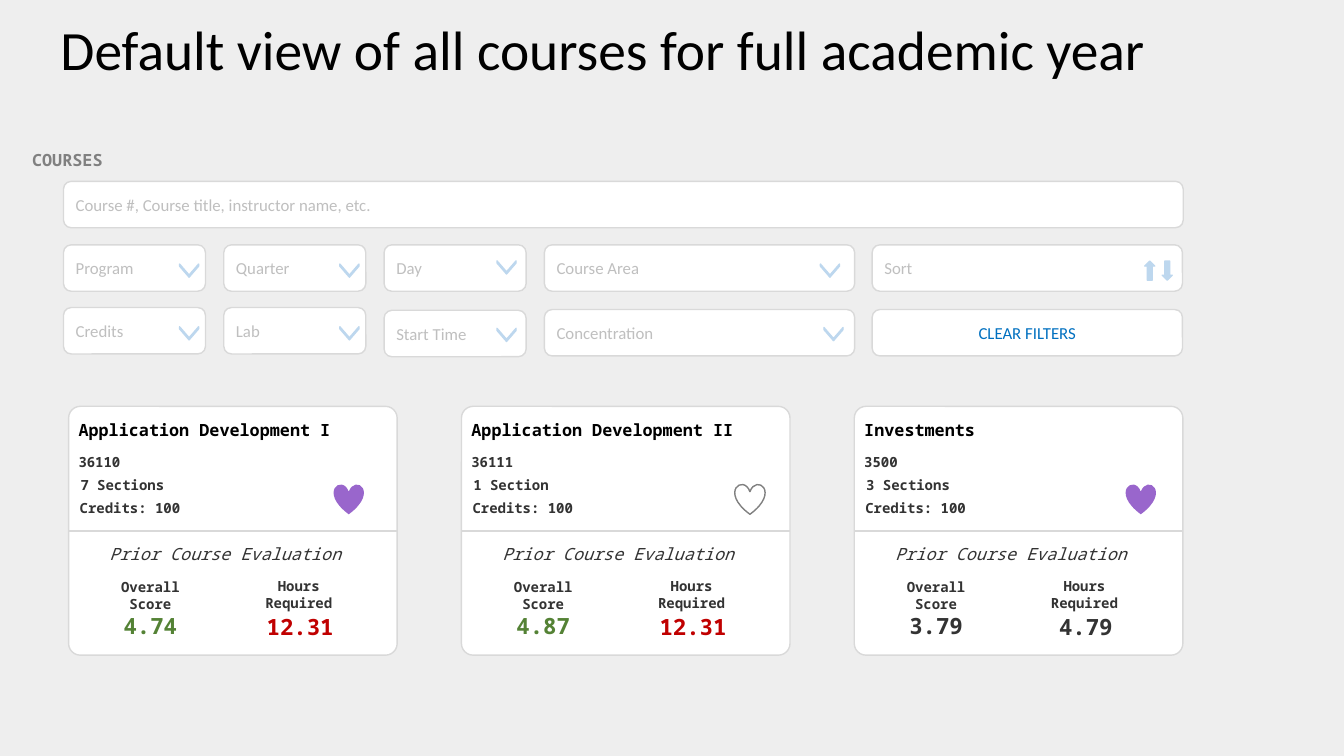
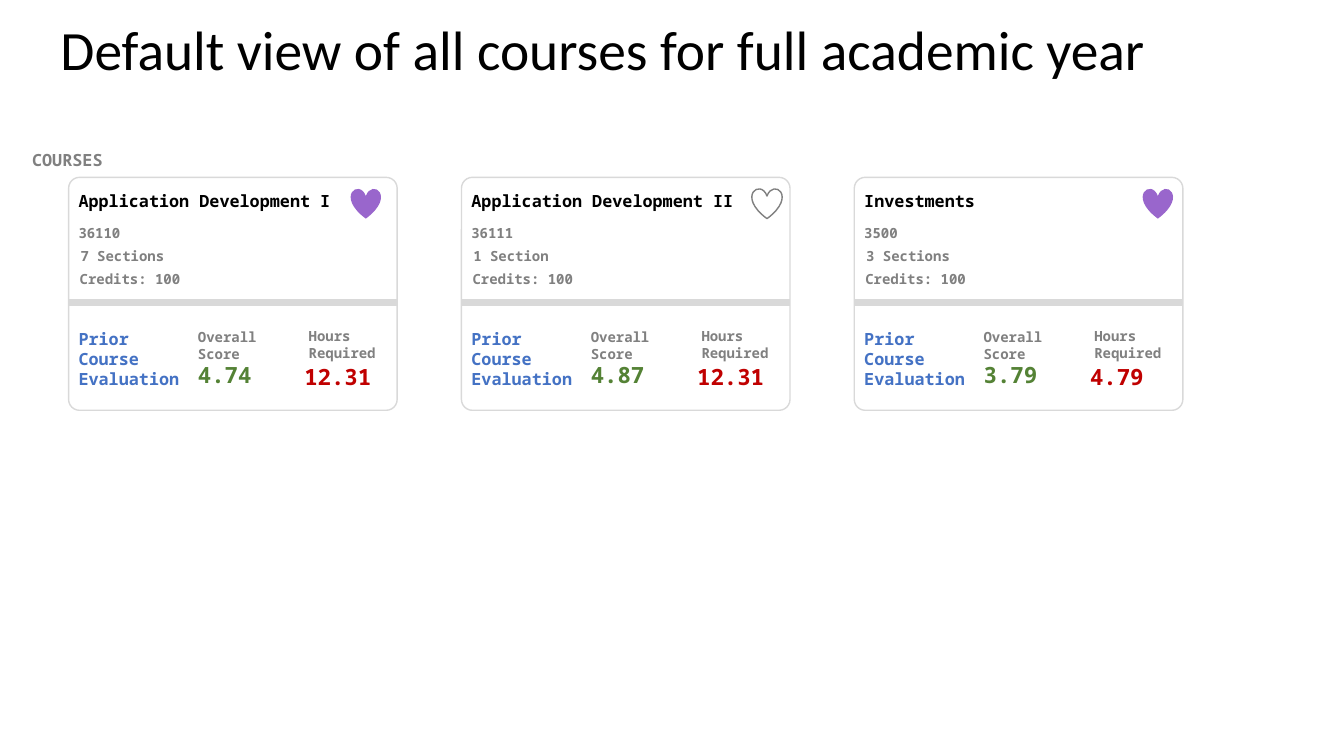
"""Build two slides showing course cards, with and without search filters."""
import pptx
import pptx.util
import pptx.dml.color
import pptx.enum.shapes
import pptx.enum.text
import pptx.oxml.ns
import lxml.etree

Cm, Pt = pptx.util.Cm, pptx.util.Pt
rgb = pptx.dml.color.RGBColor.from_string
SHAPE = pptx.enum.shapes.MSO_SHAPE
ALIGN = pptx.enum.text.PP_ALIGN
ANCHOR = pptx.enum.text.MSO_ANCHOR
FIT = pptx.enum.text.MSO_AUTO_SIZE

MONO, SANS = "Noto Sans Mono", "Calibri"
BLACK, WHITE, DARK, GRAY = "000000", "FFFFFF", "333333", "808080"
BORDER, HINT, ICON, LINK = "D9D9D9", "BFBFBF", "BDD7EE", "0070C0"
PURPLE, GREEN, RED, BLUE = "9966CC", "548235", "C00000", "4472C4"


def write(sp, text, size=12, color=BLACK, font=MONO, bold=False, italic=False,
          align=ALIGN.LEFT, fit=FIT.NONE, anchor=ANCHOR.TOP, inset=True, spacing=None):
    tf = sp.text_frame
    tf.word_wrap = True
    tf.auto_size = fit
    tf.vertical_anchor = anchor
    if not inset:
        tf.margin_left = tf.margin_right = tf.margin_top = tf.margin_bottom = 0
    p = tf.paragraphs[0]
    p.alignment = align
    p.line_spacing = spacing
    r = p.add_run()
    r.text = text
    r.font.name, r.font.size = font, Pt(size)
    r.font.bold, r.font.italic = bold, italic
    r.font.color.rgb = rgb(color)


def draw(s, kind, x, y, w, h, fill=None, line=None):
    sp = s.shapes.add_shape(kind, Cm(x), Cm(y), Cm(w), Cm(h))
    sp.shadow.inherit = False
    if fill:
        sp.fill.solid()
        sp.fill.fore_color.rgb = rgb(fill)
    else:
        sp.fill.background()
    if line:
        sp.line.color.rgb = rgb(line)
        sp.line.width = Pt(1)
    else:
        sp.line.fill.background()
    return sp


prs = pptx.Presentation()
prs.slide_width, prs.slide_height = Cm(33.87), Cm(19.05)
layout = prs.slide_layouts[5]
title = layout.placeholders[0]
title.left, title.top, title.width, title.height = Cm(1.27), Cm(0.51), Cm(31.01), Cm(1.65)

# name, number, sections, score, hours, heart offset, favourite
courses = [
    ("Application Development I", "36110", "7 Sections", "4.74", "12.31", 6.68, True),
    ("Application Development II", "36111", "1 Section", "4.87", "12.31", 6.89, False),
    ("Investments", "3500", "3 Sections", "3.79", "4.79", 6.84, True),
]
CARD_X, CARD_STEP, CARD_W = 1.73, 9.9, 8.28

views = [
    dict(bg="EEEEEE", top=10.24, height=6.27, fill=WHITE, detail=DARK, rule=1.5,
         heart=(0, 1.96), stats=4.32, score_x=1.07, hours_x=4.9, hours_value_x=4.78,
         align=ALIGN.CENTER, evaluation=(0.05, 3.45, 7.8, 0.51),
         style=dict(color=DARK, italic=True),
         values=[(GREEN, RED), (GREEN, RED), (DARK, DARK)]),
    dict(bg=WHITE, top=4.47, height=5.87, fill=None, detail=GRAY, rule=4.5,
         heart=(0.43, 0.28), stats=3.78, score_x=3.26, hours_x=6.05, hours_value_x=5.94,
         align=ALIGN.LEFT, evaluation=(0.25, 3.81, 2.64, 1.55),
         style=dict(color=BLUE, bold=True),
         values=[(GREEN, RED)] * 3),
]

for v in views:
    s = prs.slides.add_slide(layout)
    s.background.fill.solid()
    s.background.fill.fore_color.rgb = rgb(v["bg"])
    write(s.shapes.title, "Default view of all courses for full academic year",
          size=39.6, font=SANS, anchor=ANCHOR.MIDDLE, spacing=0.9)
    sp = s.shapes.add_textbox(Cm(0.56), Cm(3.66), Cm(6.58), Cm(0.76))
    write(sp, "COURSES", color=GRAY, bold=True, fit=FIT.SHAPE_TO_FIT_TEXT)

    for i, (name, number, sections, score, hours, heart_x, favourite) in enumerate(courses):
        x, y = CARD_X + i * CARD_STEP, v["top"]
        card = draw(s, SHAPE.ROUNDED_RECTANGLE, x, y, CARD_W, v["height"], v["fill"], BORDER)
        card.adjustments[0] = 0.047

        rule = s.shapes.add_connector(pptx.enum.shapes.MSO_CONNECTOR.STRAIGHT,
                                      Cm(x), Cm(y + 3.15), Cm(x + CARD_W), Cm(y + 3.15))
        rule.line.color.rgb = rgb(BORDER)
        rule.line.width = Pt(v["rule"])
        lxml.etree.SubElement(rule._element.spPr, pptx.oxml.ns.qn("a:effectLst"))

        dx, dy = v["heart"]
        draw(s, SHAPE.HEART, x + heart_x + dx, y + dy, 0.76, 0.76,
             PURPLE if favourite else None, None if favourite else GRAY)

        detail = dict(size=10, color=v["detail"], bold=True)
        label = dict(detail, align=v["align"], inset=False)
        score_color, hours_color = v["values"][i]
        stats = v["stats"]
        texts = [
            (name, (0, 0.2, 8.3, 0.76), dict(bold=True)),
            (number, (0, 1.07, 5.36, 0.69), detail),
            (sections, (0.05, 1.65, 5.36, 0.69), detail),
            ("Credits: 100", (0.03, 2.21, 3.07, 0.69), detail),
            ("Prior Course Evaluation", v["evaluation"],
             dict(v["style"], align=v["align"], inset=False)),
            ("Overall Score", (v["score_x"], stats + 0.03, 1.98, 0.86), label),
            ("Hours Required", (v["hours_x"], stats, 1.8, 0.86), label),
            (score, (v["score_x"], stats + 0.86, 1.98, 0.69),
             dict(label, size=16, color=score_color)),
            (hours, (v["hours_value_x"], stats + 0.9, 2.11, 0.69),
             dict(label, size=16, color=hours_color)),
        ]
        for text, (dx, dy, w, h), style in texts:
            sp = s.shapes.add_textbox(Cm(x + dx), Cm(y + dy), Cm(w), Cm(h))
            write(sp, text, fit=FIT.SHAPE_TO_FIT_TEXT, **style)

s = prs.slides[0]
ROW, NARROW, WIDE = 6.17, 3.58, 7.82
columns = [1.6 + 4.04 * i for i in range(4)] + [21.98]
# text, left, top, width, chevron offset
fields = [
    ("Course #, Course title, instructor name, etc.", columns[0], 4.57, 28.22, None),
    ("Program", columns[0], ROW, NARROW, (3, 0.41)),
    ("Quarter", columns[1], ROW, NARROW, (3, 0.41)),
    ("Day", columns[2], ROW, NARROW, (2.92, 0.33)),
    ("Course Area", columns[3], ROW, WIDE, (7.03, 0.41)),
    ("Sort", columns[4], ROW, WIDE, None),
    ("Credits", columns[0], 7.75, NARROW, (3, 0.41)),
    ("Lab", columns[1], 7.75, NARROW, (3, 0.41)),
    ("Start Time", columns[2], 7.82, NARROW, (2.92, 0.38)),
    ("Concentration", columns[3], 7.8, WIDE, (7.12, 0.38)),
    ("CLEAR FILTERS", columns[4], 7.8, WIDE, None),
]
for text, x, y, w, chevron in fields:
    button = text == "CLEAR FILTERS"
    sp = draw(s, SHAPE.ROUNDED_RECTANGLE, x, y, w, 1.17, WHITE, BORDER)
    write(sp, text, font=SANS, color=LINK if button else HINT, anchor=ANCHOR.MIDDLE,
          align=ALIGN.CENTER if button else ALIGN.LEFT)
    if chevron:
        sp = draw(s, SHAPE.CHEVRON, x + chevron[0], y + chevron[1], 0.33, 0.48, ICON, ICON)
        sp.adjustments[0] = 0.842
        sp.rotation = 90
for x, angle in [(28.85, 0), (29.29, 180)]:
    draw(s, SHAPE.UP_ARROW, x, ROW + 0.41, 0.25, 0.48, ICON, ICON).rotation = angle

prs.save("out.pptx")
